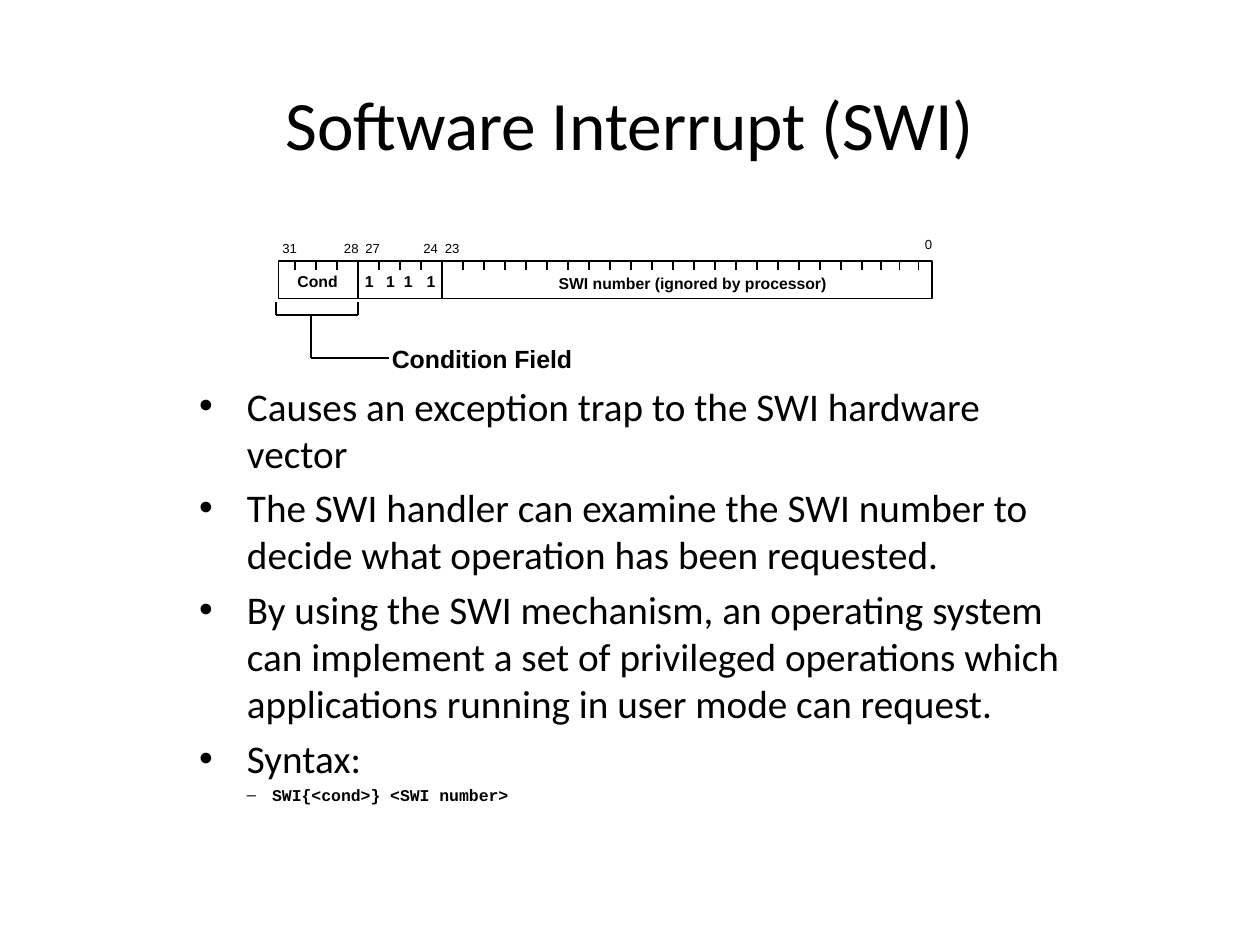
import pptx
import pptx.util
import pptx.dml.color
import pptx.enum.shapes
import pptx.enum.text
import pptx.oxml.ns
import lxml.etree

Inches = pptx.util.Inches
Pt = pptx.util.Pt
ALIGN = pptx.enum.text.PP_ALIGN
ANCHOR = pptx.enum.text.MSO_ANCHOR
BLACK = pptx.dml.color.RGBColor(0, 0, 0)
qn = pptx.oxml.ns.qn

BULLETS = [
    "Causes an exception trap to the SWI hardware vector",
    "The SWI handler can examine the SWI number to decide what operation has been requested.",
    "By using the SWI mechanism, an operating system can implement a set of privileged "
    "operations which applications running in user mode can request.",
    "Syntax:",
]
SYNTAX = "SWI{<cond>} <SWI number>"
BIT_LABELS = [("31", 2.19, 1.89), ("28", 2.68, 1.89), ("27", 2.85, 1.89),
              ("24", 3.31, 1.89), ("23", 3.48, 1.89), ("0", 7.29, 1.86)]
FIELD_EDGES = (3, 7)
TICKS = [2.34 + i / 6 for i in range(28)] + [6.99, 7.14, 7.29]
CONDITION_LINES = [
    (2.19, 2.4, 2.19, 2.5), (2.84, 2.4, 2.84, 2.5), (2.84, 2.5, 2.19, 2.5),
    (2.47, 2.5, 2.47, 2.84), (2.47, 2.84, 3.09, 2.84),
]


class SlideBuilder:
    def __init__(self, page):
        self.page = page

    def style(self, paragraph, size, name, bold=False):
        font = paragraph.font
        font.size, font.name, font.bold = Pt(size), name, bold
        font.color.rgb = BLACK

    def frame(self, box, side, top, wrap=True):
        """Set the insets and wrapping of a box and return its text frame."""
        frame = box.text_frame
        frame.margin_left = frame.margin_right = Inches(side)
        frame.margin_top = frame.margin_bottom = Inches(top)
        frame.word_wrap = wrap
        frame.auto_size = pptx.enum.text.MSO_AUTO_SIZE.NONE
        return frame

    def place(self, box, left, top, width, height):
        box.left, box.top = Inches(left), Inches(top)
        box.width, box.height = Inches(width), Inches(height)

    def title(self, text, *area):
        box = self.page.shapes.title
        self.place(box, *area)
        frame = self.frame(box, 0.08, 0.04)
        frame.vertical_anchor = ANCHOR.MIDDLE
        frame.text = text
        paragraph = frame.paragraphs[0]
        paragraph.alignment = ALIGN.CENTER
        self.style(paragraph, 39.6, "Calibri")

    def body(self, bullets, code, *area):
        box = self.page.placeholders[1]
        self.place(box, *area)
        frame = self.frame(box, 0.08, 0.04)
        frame.text = "\n".join(bullets + [code])
        for paragraph in frame.paragraphs:
            self.bullet(paragraph, "•", 0.38, 0.38)
            self.style(paragraph, 22.4, "Calibri")
        frame.paragraphs[0].space_before = Pt(0)
        syntax = frame.paragraphs[-1]
        syntax.level = 1
        self.bullet(syntax, "–", 0.58, 0.2)
        self.style(syntax, 9.4, "Courier New", True)

    def bullet(self, paragraph, mark, margin, hang):
        properties = paragraph._p.get_or_add_pPr()
        properties.set("marL", str(Inches(margin)))
        properties.set("indent", str(-Inches(hang)))
        for old in properties.findall(qn("a:buFont")) + properties.findall(qn("a:buChar")):
            properties.remove(old)
        # The bullet elements come before the default run properties.
        start = 0 if properties.find(qn("a:spcBef")) is None else 1
        font = lxml.etree.Element(qn("a:buFont"), typeface="Arial")
        char = lxml.etree.Element(qn("a:buChar"), char=mark)
        properties.insert(start, font)
        properties.insert(start + 1, char)

    def label(self, text, area, size, bold=False, wrap=True, align=ALIGN.LEFT, tabs=()):
        """Add a text box; tabs are centred stops in inches from the text edge."""
        box = self.page.shapes.add_textbox(*map(Inches, area))
        frame = self.frame(box, 0.05, 0.02, wrap)
        frame.text = text
        paragraph = frame.paragraphs[0]
        paragraph.alignment = align
        if tabs:
            stops = lxml.etree.SubElement(paragraph._p.get_or_add_pPr(), qn("a:tabLst"))
            for stop in tabs:
                lxml.etree.SubElement(stops, qn("a:tab"), pos=str(Inches(stop)), algn="ctr")
        self.style(paragraph, size, "Arial", bold)

    def line(self, *ends):
        connector = self.page.shapes.add_connector(
            pptx.enum.shapes.MSO_CONNECTOR.STRAIGHT, *map(Inches, ends))
        connector.line.color.rgb = BLACK
        connector.line.width = Pt(1)
        lxml.etree.SubElement(connector._element.spPr, qn("a:effectLst"))

    def outline(self, *area):
        box = self.page.shapes.add_shape(
            pptx.enum.shapes.MSO_SHAPE.RECTANGLE, *map(Inches, area))
        box.shadow.inherit = False
        box.fill.background()
        box.line.color.rgb = BLACK
        box.line.width = Pt(1)


def main():
    deck = pptx.Presentation()
    deck.slide_width, deck.slide_height = Inches(10), Inches(7.5)
    builder = SlideBuilder(deck.slides.add_slide(deck.slide_layouts[1]))
    builder.title("Software Interrupt (SWI)", 0.69, 0.68, 8.62, 0.59)
    builder.body(BULLETS, SYNTAX, 1.5, 2.99, 7, 3.07)

    builder.outline(2.21, 2.07, 5.19, 0.3)
    for index, x in enumerate(TICKS):
        builder.line(x, 2.06, x, 2.37 if index in FIELD_EDGES else 2.14)
    for text, left, top in BIT_LABELS:
        builder.label(text, (left, top, 0.1 + 0.06 * len(text), 0.17), 7.5, wrap=False)
    builder.label("\tCond\t1\t1\t1\t1", (2.21, 2.14, 1.49, 0.2), 9, bold=True,
                  tabs=(0.26, 0.67, 0.84, 0.98, 1.16))
    builder.label("SWI number (ignored by processor)", (3.59, 2.15, 3.81, 0.2), 9,
                  bold=True, align=ALIGN.CENTER)

    for ends in CONDITION_LINES:
        builder.line(*ends)
    builder.label("Condition Field", (3.06, 2.71, 1.95, 0.29), 14.2, bold=True)
    deck.save("out.pptx")


if __name__ == "__main__":
    main()
